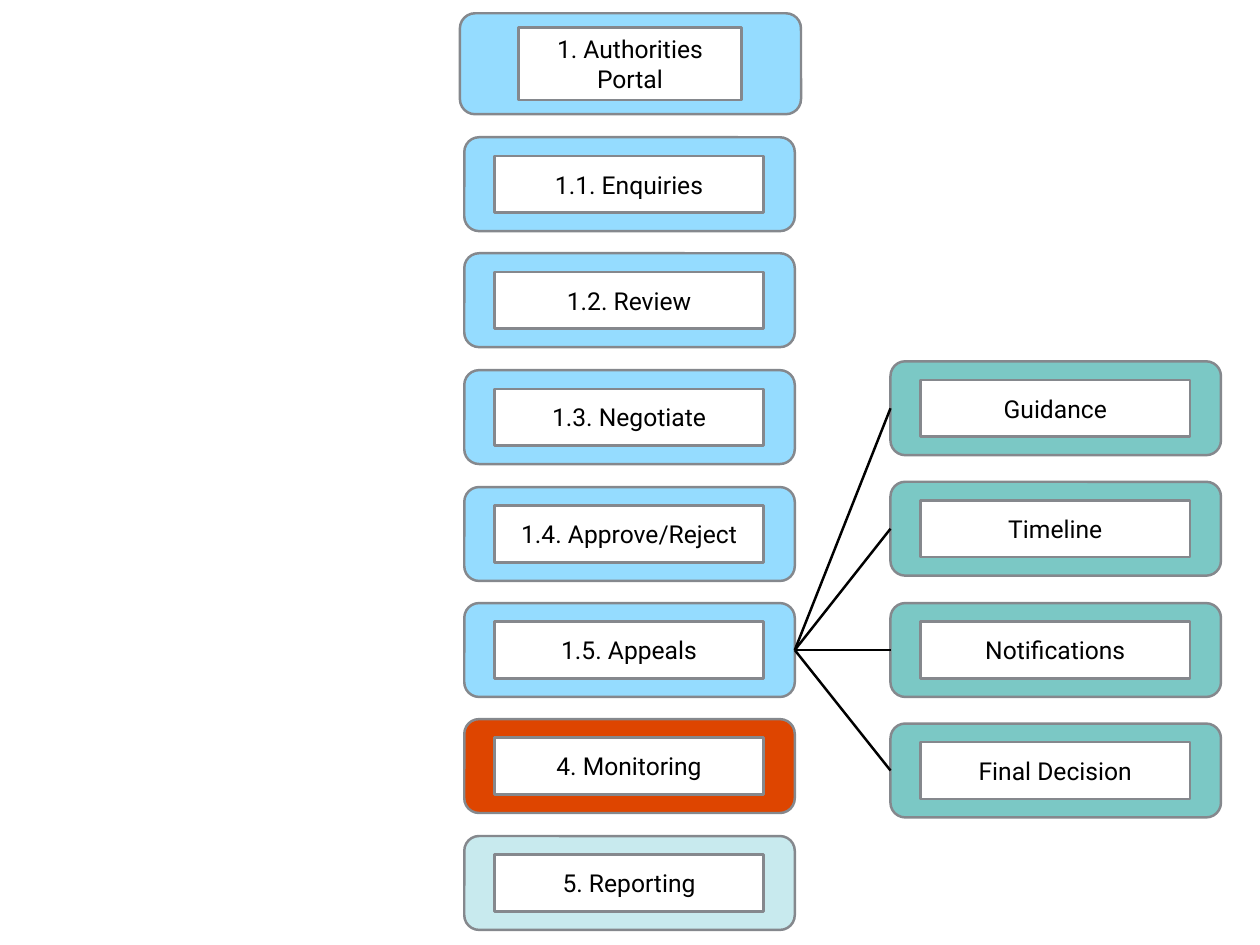
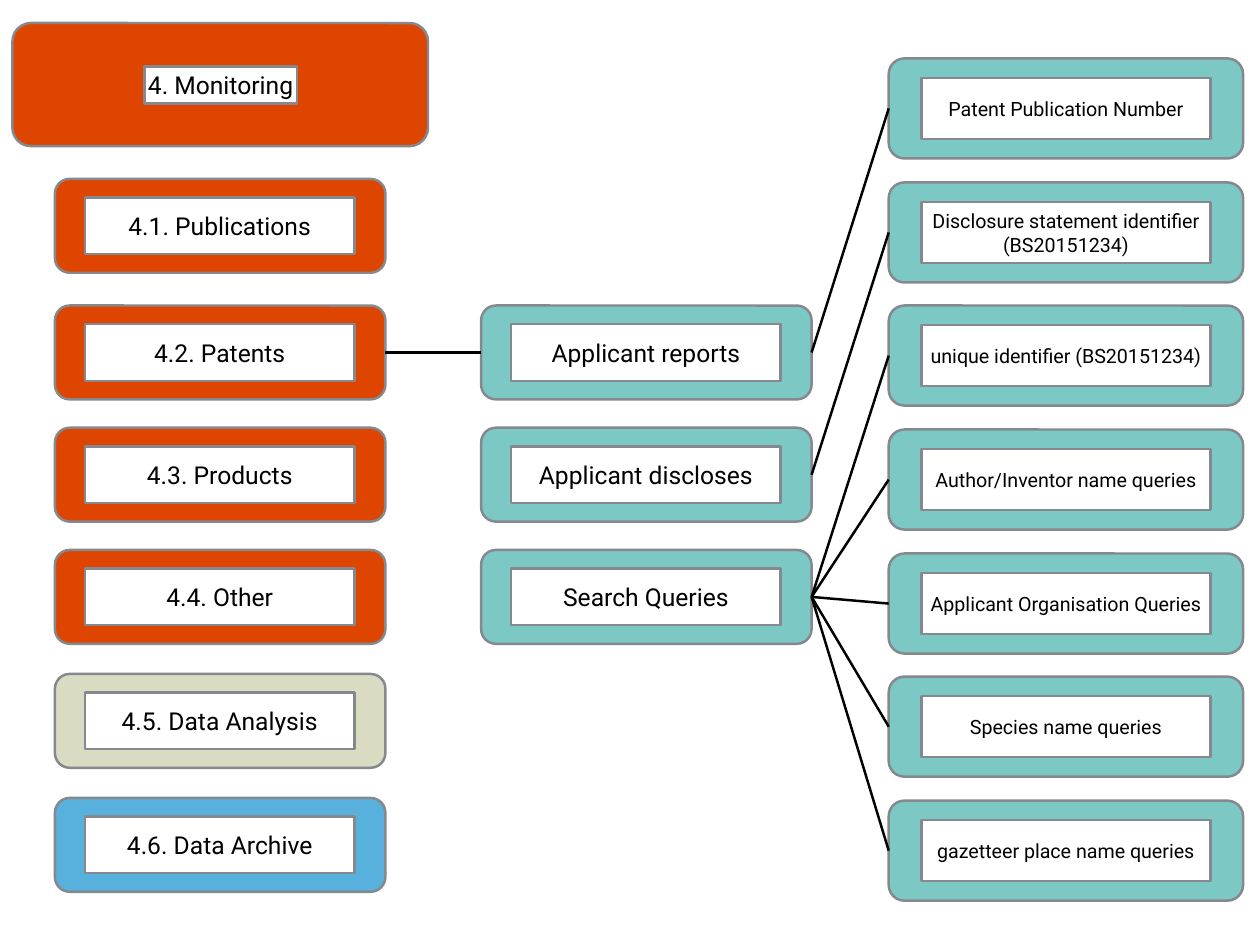
import pptx
import pptx.dml.color
import pptx.enum.shapes
import pptx.enum.text
import pptx.oxml.ns
import pptx.util
from lxml import etree

SHAPE = pptx.enum.shapes.MSO_SHAPE
SKY, TEAL, ORANGE = "95DCFF", "7BC8C5", "DE4500"
ICE, SAND, BLUE = "C8EAEE", "D9DCC3", "58B0DC"
BORDER, WHITE, BLACK = "85888D", "FFFFFF", "000000"
PX = 9144


def px(n):
    return pptx.util.Emu(n * PX)


def rgb(value):
    return pptx.dml.color.RGBColor.from_string(value)


def spread(first, last, n):
    return [round(first + (last - first) * i / (n - 1)) for i in range(n)]


class Deck:
    """Holds the diagram style and the current slide."""

    font = "Roboto"
    small = (373, 106, 304, 64, 20)
    wide = (400, 113, 326, 69, 16)

    def __init__(self):
        self.prs = pptx.Presentation()
        self.prs.slide_width, self.prs.slide_height = px(1422), px(1067)

    def new_slide(self):
        self.s = self.prs.slides.add_slide(self.prs.slide_layouts[5])

    def paint(self, sp, fill):
        sp.fill.solid()
        sp.fill.fore_color.rgb = rgb(fill)
        sp.line.color.rgb = rgb(BORDER)
        sp.line.width = pptx.util.Pt(2)

    def frame(self, shapes, x, y, w, h, fill, corner):
        sp = shapes.add_shape(SHAPE.ROUNDED_RECTANGLE, px(x), px(y), px(w), px(h))
        sp.adjustments[0] = corner
        sp.shadow.inherit = False
        self.paint(sp, fill)
        return sp

    def label(self, sp, text, size, wrap=True):
        self.paint(sp, WHITE)
        tf = sp.text_frame
        tf.margin_left = tf.margin_right = tf.margin_top = tf.margin_bottom = px(3)
        tf.vertical_anchor = pptx.enum.text.MSO_ANCHOR.MIDDLE
        tf.auto_size = pptx.enum.text.MSO_AUTO_SIZE.NONE
        tf.word_wrap = wrap
        p = tf.paragraphs[0]
        p.text = text
        p.alignment = pptx.enum.text.PP_ALIGN.CENTER
        p.font.name = self.font
        p.font.size = pptx.util.Pt(size)
        p.font.color.rgb = rgb(BLACK)

    def heading(self, text, box, inner, fill):
        self.frame(self.s.shapes, *box, fill, 0.15)
        title = self.s.shapes.title
        title.left, title.top, title.width, title.height = map(px, inner)
        self.label(title, text, 20, wrap=False)
        self.s.shapes._spTree.append(title._element)

    def card(self, x, y, text, fill, style):
        w, h, inner_w, inner_h, size = style
        shapes = self.s.shapes.add_group_shape().shapes
        outer = self.frame(shapes, x, y, w, h, fill, 0.157)
        sp = shapes.add_shape(SHAPE.RECTANGLE, px(x + (w - inner_w) // 2),
                              px(y + (h - inner_h) // 2), px(inner_w), px(inner_h))
        sp.shadow.inherit = False
        self.label(sp, text, size)
        return outer

    def column(self, x, tops, texts, fills, style=small):
        return [self.card(x, y, text, fill, style)
                for y, text, fill in zip(tops, texts, fills)]

    def link(self, start, end):
        line = self.s.shapes.add_connector(
            pptx.enum.shapes.MSO_CONNECTOR.STRAIGHT, 0, 0, 0, 0)
        line.begin_connect(start, 3)
        line.end_connect(end, 1)
        line.line.color.rgb = rgb(BLACK)
        line.line.width = pptx.util.Pt(2)
        etree.SubElement(line._element.spPr, pptx.oxml.ns.qn("a:effectLst"))


def portal_slide(deck):
    deck.new_slide()
    deck.heading("1. Authorities Portal", (519, 15, 385, 114), (585, 31, 252, 82), SKY)
    steps = deck.column(
        524, spread(155, 944, 7),
        ["1.1. Enquiries", "1.2. Review", "1.3. Negotiate", "1.4. Approve/Reject",
         "1.5. Appeals", "4. Monitoring", "5. Reporting"],
        [SKY] * 5 + [ORANGE, ICE])
    appeal_parts = deck.column(
        1005, spread(408, 817, 4),
        ["Guidance", "Timeline", "Notifications", "Final Decision"], [TEAL] * 4)
    for part in appeal_parts:
        deck.link(steps[4], part)


def monitoring_slide(deck):
    deck.new_slide()
    deck.heading("4. Monitoring", (14, 26, 469, 139), (163, 75, 172, 42), ORANGE)
    rows = spread(345, 621, 3)
    topics = deck.column(
        62, [202, *rows, 761, 901],
        ["4.1. Publications", "4.2. Patents", "4.3. Products", "4.4. Other",
         "4.5. Data Analysis", "4.6. Data Archive"],
        [ORANGE] * 4 + [SAND, BLUE])
    reports, discloses, queries = deck.column(
        543, rows, ["Applicant reports", "Applicant discloses", "Search Queries"],
        [TEAL] * 3)
    details = deck.column(
        1003, spread(66, 904, 7),
        ["Patent Publication Number", "Disclosure statement identifier (BS20151234)",
         "unique identifier (BS20151234)", "Author/Inventor name queries",
         "Applicant Organisation Queries", "Species name queries",
         "gazetteer place name queries"],
        [TEAL] * 7, deck.wide)
    deck.link(topics[1], reports)
    for source, detail in zip([reports, discloses] + [queries] * 5, details):
        deck.link(source, detail)


def main():
    deck = Deck()
    portal_slide(deck)
    monitoring_slide(deck)
    deck.prs.save("out.pptx")


if __name__ == "__main__":
    main()
